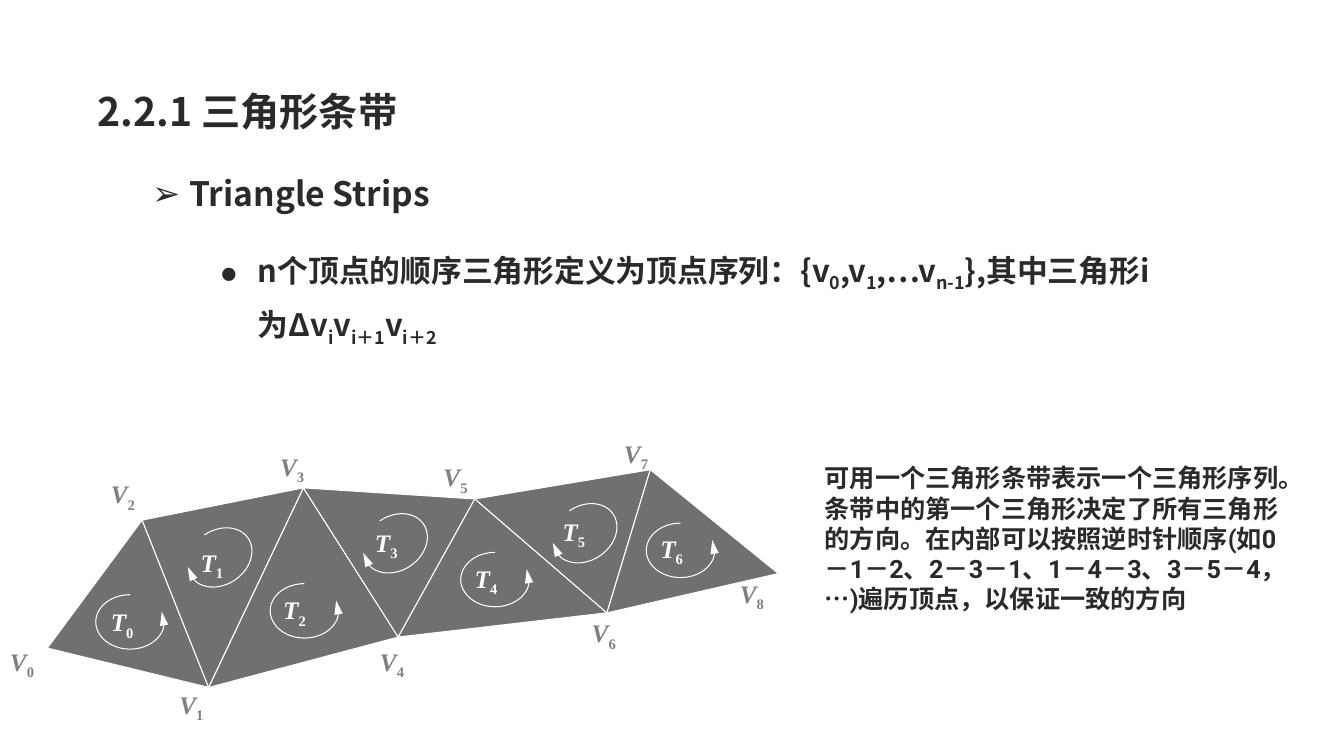
from pptx import Presentation
from pptx.dml.color import RGBColor
from pptx.enum.shapes import MSO_SHAPE
from pptx.enum.text import MSO_ANCHOR, PP_ALIGN
from pptx.oxml.ns import qn
from pptx.util import Inches, Pt
from lxml.etree import SubElement

# Content: runs are (text, changed formats)
COLORS = {"title": "282A2C", "text": "2A2A2A", "triangle": "707070",
          "vertex": "7F7F7F", "white": "FFFFFF"}
CJK = "Noto Sans CJK SC"
SUB = {"sub": True}
TITLE = "2.2.1 三角形条带"
HEADING = [("Triangle Strips", {})]
DEFINITION = [
    ("n个顶点的顺序三角形定义为顶点序列：{v", {}), ("0", SUB), (",v", {}), ("1", SUB),
    (",…v", {}), ("n-1", SUB), ("},其中三角形i为Δv", {}), ("i", SUB), ("v", {}),
    ("i＋1", SUB), ("v", {}), ("i＋2", SUB),
]
EXPLANATION = [
    ("可用一个三角形条带表示一个三角形序列。条带中的第一个三角形决定了所有三角形的方向。"
     "在内部可以按照逆时针顺序(如0－1－2、2－3－1、1－4－3、3－5－4，", {}),
    ("…", {"name": "Arial"}),
    (")遍历顶点，以保证一致的方向", {}),
]
# Strip vertices V0 to V8, and the vertex numbers of triangles T0 to T6
VERTICES = [(0.47, 6.43), (2.07, 6.82), (1.41, 5.16), (3.01, 4.84), (3.95, 6.32),
            (4.71, 4.95), (6.02, 6.08), (6.45, 4.66), (7.72, 5.69)]
TRIANGLES = [(0, 2, 1), (1, 2, 3), (1, 3, 4), (3, 5, 4), (4, 5, 6), (5, 7, 6), (6, 8, 7)]
VERTEX_LABELS = [(0, 6.36), (1.68, 6.79), (1, 4.7), (2.68, 4.43), (3.67, 6.36),
                 (4.3, 4.53), (5.77, 6.08), (6.09, 4.3), (7.24, 5.69)]
ARCS = [(0.95, 5.9), (1.84, 5.26), (2.68, 5.79), (3.58, 5.12),
        (4.57, 5.48), (5.46, 5.02), (6.41, 5.19)]
TRIANGLE_LABELS = [(1, 5.97), (1.89, 5.38), (2.71, 5.85), (3.62, 5.18),
                   (4.61, 5.54), (5.48, 5.07), (6.45, 5.24)]
# Arc angles in degrees, clockwise from the right; arrow end; rotation
COUNTERCLOCKWISE = (342, 270, "headEnd", 0)
CLOCKWISE = (270, 198, "tailEnd", 325.5)

presentation = Presentation()
presentation.slide_width, presentation.slide_height = Inches(13.33), Inches(7.5)
slide = presentation.slides.add_slide(presentation.slide_layouts[5])
shapes = slide.shapes


def rgb(color):
    return RGBColor.from_string(COLORS[color])


def add_runs(paragraph, runs, base):
    for text, changes in runs:
        formats = {"bold": True, **base, **changes}
        color, subscript = formats.pop("color"), formats.pop("sub", False)
        run = paragraph.add_run()
        run.text = text
        for name, value in formats.items():
            setattr(run.font, name, value)
        run.font.color.rgb = rgb(color)
        properties = run.font._element
        SubElement(properties, qn("a:ea"), typeface=CJK)
        if subscript:
            properties.set("baseline", "-25000")


def add_text_box(left, top, width, height):
    frame = shapes.add_textbox(*map(Inches, (left, top, width, height))).text_frame
    frame.word_wrap = True
    return frame


def set_bullet(paragraph, character, margin, indent):
    properties = paragraph._p.get_or_add_pPr()
    properties.set("marL", str(Inches(margin)))
    properties.set("indent", str(Inches(indent)))
    SubElement(properties, qn("a:buFont"), typeface="Arial")
    SubElement(properties, qn("a:buChar"), char=character)


def set_outline(shape):
    shape.shadow.inherit = False
    shape.line.color.rgb = rgb("white")
    shape.line.width = Pt(0.75)


def add_label(position, letter, number, color):
    frame = add_text_box(*position, 0.79, 0.4)
    add_runs(frame.paragraphs[0],
             [(letter, {"italic": True}), (str(number), {"italic": False, "sub": True})],
             {"size": Pt(18), "name": "Times New Roman", "color": color})


# Title
title = shapes.title
title.left, title.top, title.width, title.height = map(Inches, (0.92, 0.4, 11.5, 1.45))
title_frame = title.text_frame
margins = ("margin_left", "margin_top", "margin_right", "margin_bottom")
for margin in margins:
    setattr(title_frame, margin, Inches(0.05))
title_frame.vertical_anchor = MSO_ANCHOR.MIDDLE
title_paragraph = title_frame.paragraphs[0]
title_paragraph.alignment = PP_ALIGN.LEFT
title_paragraph.line_spacing = 0.9
add_runs(title_paragraph, [(TITLE, {})], {"size": Pt(28), "name": CJK, "color": "title"})

# Heading and definition
body = add_text_box(1, 1.66, 10.61, 4.77)
for margin in margins:
    setattr(body, margin, Inches(0.1))
heading, definition = body.paragraphs[0], body.add_paragraph()
heading.line_spacing = 0.9
definition.line_spacing = 1.3
definition.space_before = Pt(18)
set_bullet(heading, "➢", 0.78, -0.37)
set_bullet(definition, "●", 1.46, -0.38)
add_runs(heading, HEADING, {"size": Pt(24), "name": CJK, "color": "title"})
add_runs(definition, DEFINITION, {"size": Pt(22), "name": CJK, "color": "text"})

# Explanation
explanation = add_text_box(8.08, 4.54, 4.78, 2.07)
add_runs(explanation.paragraphs[0], EXPLANATION,
         {"size": Pt(18), "name": "Roboto", "color": "text"})

# Triangle strip
for numbers in TRIANGLES:
    corners = [tuple(map(Inches, VERTICES[number])) for number in numbers]
    builder = shapes.build_freeform(*corners[0])
    builder.add_line_segments(corners[1:], close=True)
    triangle = builder.convert_to_shape()
    triangle.fill.solid()
    triangle.fill.fore_color.rgb = rgb("triangle")
    set_outline(triangle)

# Direction arrows: odd triangles turn the other way
for index, position in enumerate(ARCS):
    start, end, arrow_end, rotation = CLOCKWISE if index % 2 else COUNTERCLOCKWISE
    arc = shapes.add_shape(MSO_SHAPE.ARC, *map(Inches, (*position, 0.68, 0.54)))
    arc.adjustments[0], arc.adjustments[1] = start * 0.6, end * 0.6
    arc.rotation = rotation
    arc.fill.background()
    set_outline(arc)
    SubElement(arc.line._get_or_add_ln(), qn("a:" + arrow_end), type="triangle", len="lg")

# Labels
for letter, positions, color in (("V", VERTEX_LABELS, "vertex"),
                                 ("T", TRIANGLE_LABELS, "white")):
    for number, position in enumerate(positions):
        add_label(position, letter, number, color)

presentation.save("out.pptx")
